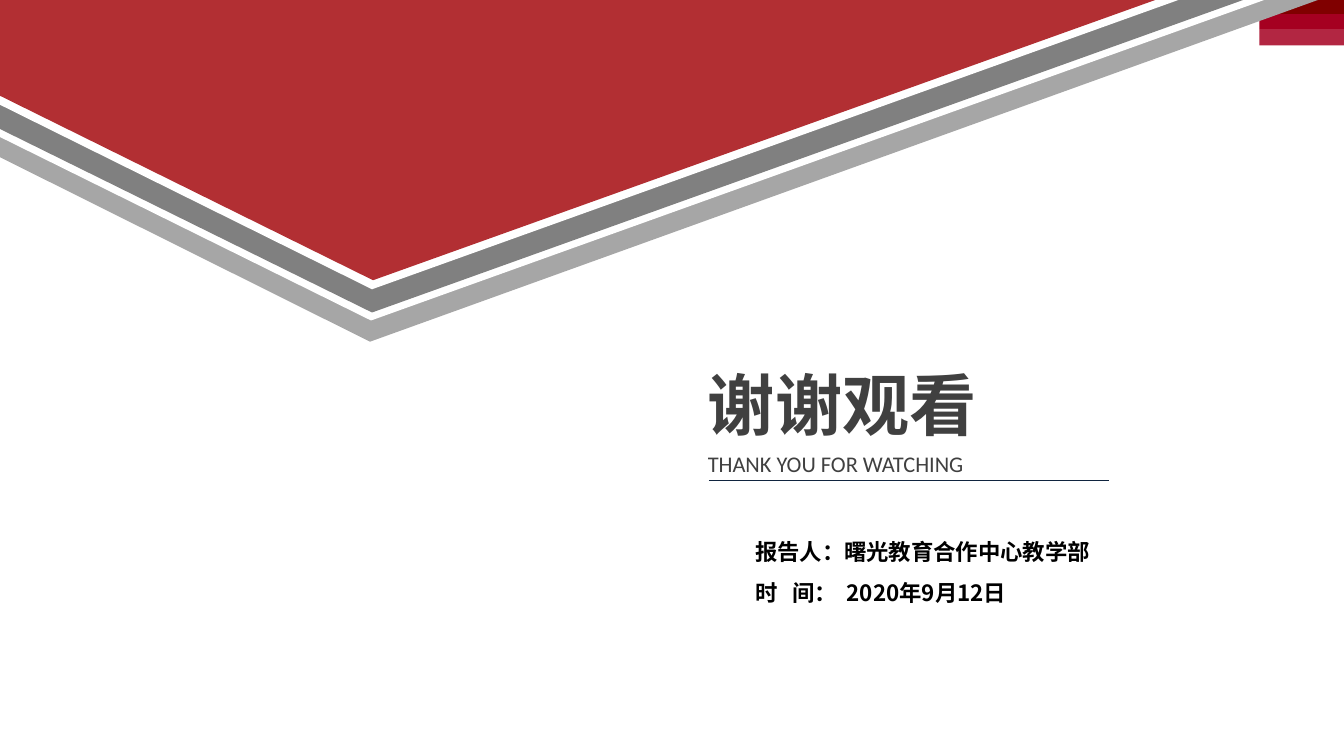
"""Build the closing slide: layered chevrons, thanks and presenter details."""
from dataclasses import dataclass

from lxml.etree import SubElement
from pptx import Presentation
from pptx.dml.color import RGBColor
from pptx.enum.shapes import MSO_CONNECTOR, MSO_SHAPE
from pptx.enum.text import MSO_ANCHOR, MSO_AUTO_SIZE, PP_ALIGN
from pptx.oxml.ns import qn
from pptx.util import Inches, Pt


@dataclass(frozen=True)
class Theme:
    white: str = "FFFFFF"
    light_gray: str = "A6A6A6"
    mid_gray: str = "808080"
    red: str = "B22F33"
    ink: str = "404040"
    black: str = "000000"
    rule: str = "10243F"
    stripes: tuple = ("800000", "A50021", "B22642")
    chinese: str = "Noto Sans CJK SC"
    latin: str = "Calibri"
    title_size: int = 48
    text_size: int = 16


THEME = Theme()
THANKS = "谢谢观看"
SUBTITLE = "THANK YOU FOR WATCHING"
DETAILS = ["报告人：曙光教育合作中心教学部", "时\t间：\t2020年9月12日"]
DETAIL_TABS = (0.37, 0.91)

STRIPE_LEFT, STRIPE_WIDTH = 12.49, 0.84
STRIPE_EDGES = (0, 0.14, 0.29, 0.45)

# Each layer: colour, top, right end, tip x, tip y, left end y
CHEVRONS = [
    (THEME.white, -0.13, 13.33, 3.49, 3.61, 1.78),
    (THEME.light_gray, -0.09, 13.32, 3.67, 3.39, 1.56),
    (THEME.white, -0.09, 12.79, 3.68, 3.18, 1.36),
    (THEME.mid_gray, -0.09, 12.58, 3.69, 3.10, 1.28),
    (THEME.white, -0.13, 12.05, 3.69, 2.87, 1.04),
    (THEME.red, -0.13, 11.82, 3.70, 2.78, 0.95),
]


def paint(shape, color):
    shape.shadow.inherit = False
    shape.fill.solid()
    shape.fill.fore_color.rgb = RGBColor.from_string(color)
    shape.line.fill.background()


def write(box, area, lines, face, size, color, bold=False, inset=(0, 0),
          align=PP_ALIGN.LEFT, spacing=1.0, tabs=()):
    box.left, box.top, box.width, box.height = map(Inches, area)
    frame = box.text_frame
    frame.word_wrap = True
    frame.auto_size = MSO_AUTO_SIZE.SHAPE_TO_FIT_TEXT
    frame.vertical_anchor = MSO_ANCHOR.TOP
    frame.margin_left = frame.margin_right = Inches(inset[0])
    frame.margin_top = frame.margin_bottom = Inches(inset[1])
    frame.text = "\n".join(lines)
    for paragraph in frame.paragraphs:
        paragraph.alignment = align
        paragraph.line_spacing = spacing
        paragraph.space_before = Pt(0)
        properties = paragraph._p.get_or_add_pPr()
        if tabs and "\t" in paragraph.text:
            stops = SubElement(properties, qn("a:tabLst"))
            for stop in tabs:
                SubElement(stops, qn("a:tab"), pos=str(Inches(stop)), algn="l")
        font = paragraph.font
        font.name, font.size, font.bold = face, Pt(size), bold
        font.color.rgb = RGBColor.from_string(color)
        SubElement(properties.find(qn("a:defRPr")), qn("a:ea"), typeface=face)


def main():
    deck = Presentation()
    deck.slide_width, deck.slide_height = Inches(13.33), Inches(7.5)
    slide = deck.slides.add_slide(deck.slide_layouts[0])
    shapes = slide.shapes

    for color, top, bottom in zip(THEME.stripes, STRIPE_EDGES, STRIPE_EDGES[1:]):
        stripe = shapes.add_shape(
            MSO_SHAPE.RECTANGLE, Inches(STRIPE_LEFT), Inches(top),
            Inches(STRIPE_WIDTH), Inches(bottom - top))
        paint(stripe, color)

    for color, top, right, tip_x, tip_y, left_y in CHEVRONS:
        outline = shapes.build_freeform(0, Inches(top))
        corners = [(right, top), (tip_x, tip_y), (0, left_y)]
        outline.add_line_segments([(Inches(x), Inches(y)) for x, y in corners])
        paint(outline.convert_to_shape(), color)

    write(shapes.title, (7.02, 3.6, 4.78, 0.81), [THANKS],
          THEME.chinese, THEME.title_size, THEME.ink, bold=True)
    write(slide.placeholders[1], (7.02, 4.47, 3.91, 0.27), [SUBTITLE],
          THEME.latin, THEME.text_size, THEME.ink, align=PP_ALIGN.JUSTIFY)

    rule = shapes.add_connector(
        MSO_CONNECTOR.STRAIGHT, Inches(7.03), Inches(4.77), Inches(11), Inches(4.77))
    rule.line.color.rgb = RGBColor.from_string(THEME.rule)
    rule.line.width = Pt(0.5)
    SubElement(rule._element.spPr, qn("a:effectLst"))

    details = shapes.add_textbox(0, 0, 0, 0)
    write(details, (7.39, 5.16, 3.61, 0.91), DETAILS, THEME.chinese,
          THEME.text_size, THEME.black, bold=True, inset=(0.1, 0.05),
          spacing=1.5, tabs=DETAIL_TABS)

    deck.save("out.pptx")


if __name__ == "__main__":
    main()
